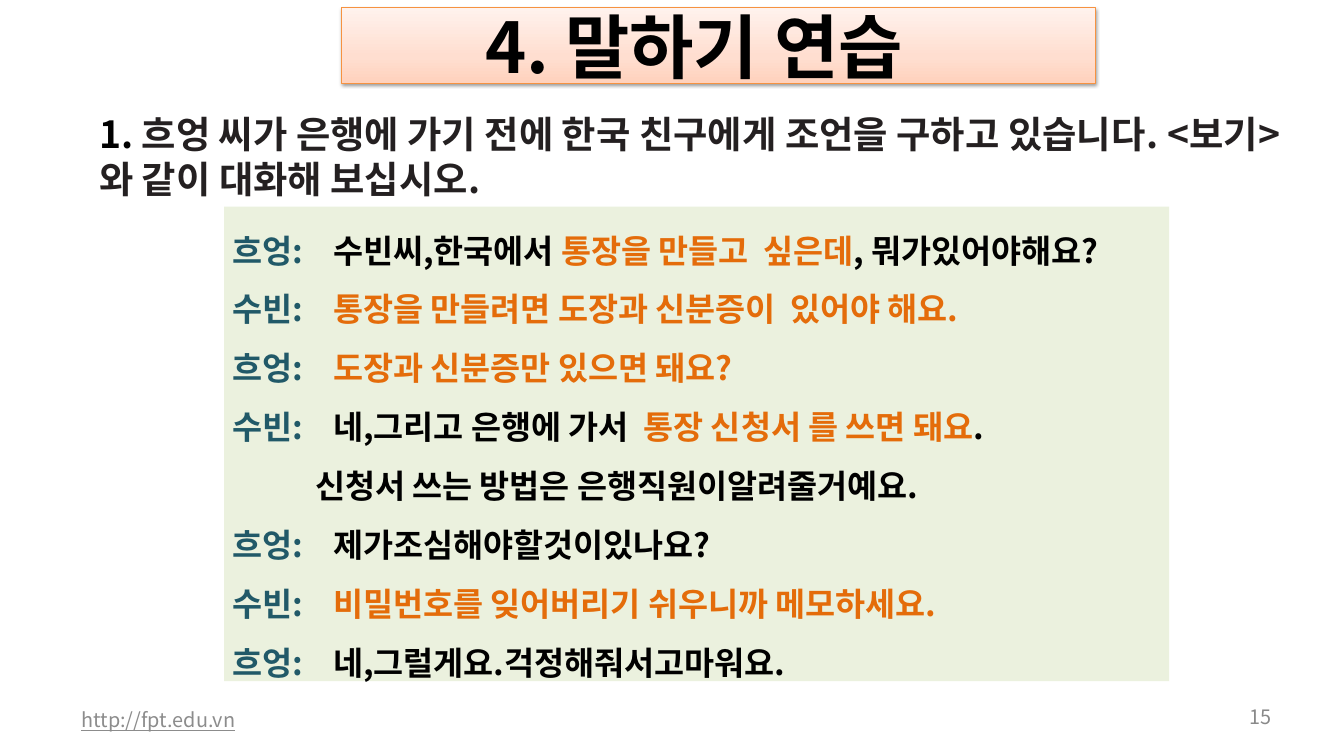
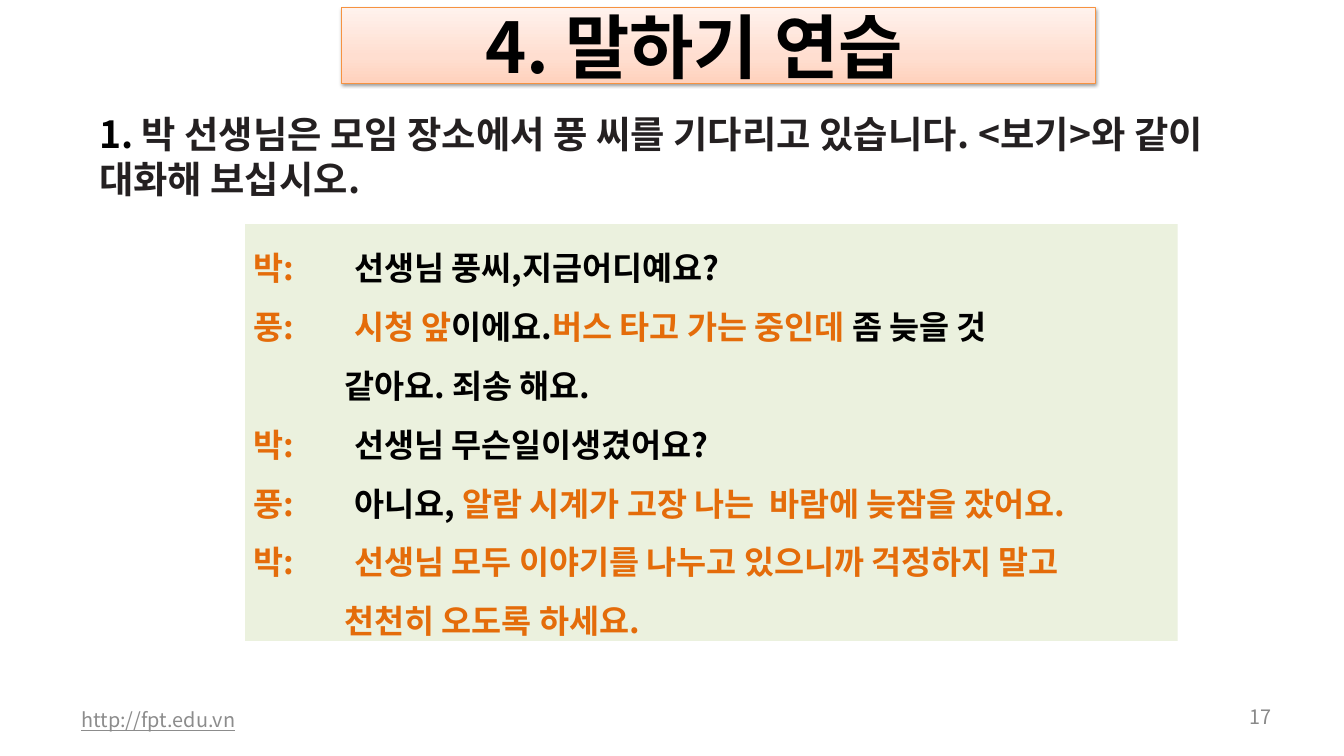
import pptx
import pptx.util
import pptx.dml.color
import pptx.enum.shapes
import pptx.enum.text
import pptx.oxml
import pptx.oxml.ns

Pt = pptx.util.Pt
Align = pptx.enum.text.PP_ALIGN
Anchor = pptx.enum.text.MSO_ANCHOR

COLOURS = {
    "ink": "000000", "question": "242021", "teal": "215968", "orange": "E46C0A",
    "panel": "EBF1DE", "border": "F69240", "link": "8C8C8C", "number": "898989",
}
TITLE_STOPS = [(0, "FFD2BD"), (35, "FFDED0"), (100, "FFF2ED")]
TITLE_SHADOW = (
    '<a:outerShdw %s blurRad="39370" dist="20320" dir="5400000" rotWithShape="0">'
    '<a:srgbClr val="000000"><a:alpha val="38000"/></a:srgbClr></a:outerShdw>'
)
TITLE = "4. 말하기 연습"
URL = "http://fpt.edu.vn"


def colour(name):
    return pptx.dml.color.RGBColor.from_string(COLOURS[name])


def apply(target, values):
    for name, value in values.items():
        setattr(target, name, value)


class Lesson:
    font = "Noto Sans CJK KR"

    def __init__(self):
        self.deck = pptx.Presentation()
        apply(self.deck, {"slide_width": Pt(1152), "slide_height": Pt(648)})
        self.page = None

    def add_page(self, number):
        self.page = self.deck.slides.add_slide(self.deck.slide_layouts[5])
        self.title()
        self.footer(URL, (59.8, 599.8, 365, 34.6), "link", Align.LEFT, underline=True)
        self.footer(number, (1044, 599.8, 56.2, 29.5), "number", Align.RIGHT)

    def frame(self, shape, insets=(7.2, 3.6, 7.2, 3.6), anchor=Anchor.TOP):
        frame = shape.text_frame
        left, top, right, bottom = insets
        apply(frame, {
            "word_wrap": True, "auto_size": pptx.enum.text.MSO_AUTO_SIZE.NONE,
            "vertical_anchor": anchor, "margin_left": Pt(left), "margin_top": Pt(top),
            "margin_right": Pt(right), "margin_bottom": Pt(bottom),
        })
        return frame

    def add_spans(self, para, spans, size, bold=True, underline=None):
        """Add one run for each (text, colour name) pair."""
        for text, name in spans:
            span = para.add_run()
            span.text = text
            apply(span.font, {"name": self.font, "size": Pt(size), "bold": bold,
                              "underline": underline})
            span.font.color.rgb = colour(name)
            east_asian = pptx.oxml.parse_xml(
                '<a:ea %s typeface="%s"/>' % (pptx.oxml.ns.nsdecls("a"), self.font))
            span.font._element.find(pptx.oxml.ns.qn("a:latin")).addnext(east_asian)

    def title(self):
        box = self.page.shapes.title
        apply(box, {"left": Pt(293), "top": Pt(6.5), "width": Pt(645.8), "height": Pt(64.8)})
        box.fill.gradient()
        box.fill.gradient_angle = 90
        stops = box._element.spPr.find(".//" + pptx.oxml.ns.qn("a:gsLst"))
        for stop in list(stops):
            stops.remove(stop)
        for position, value in TITLE_STOPS:
            stops.append(pptx.oxml.parse_xml(
                '<a:gs %s pos="%d"><a:srgbClr val="%s"/></a:gs>'
                % (pptx.oxml.ns.nsdecls("a"), position * 1000, value)))
        box.line.color.rgb = colour("border")
        box.line.width = Pt(0.75)
        effects = pptx.oxml.parse_xml(
            "<a:effectLst %s>%s</a:effectLst>"
            % (pptx.oxml.ns.nsdecls("a"), TITLE_SHADOW % pptx.oxml.ns.nsdecls("a")))
        box._element.spPr.append(effects)
        para = self.frame(box, (7.2, 3.6, 49, 3.6), Anchor.MIDDLE).paragraphs[0]
        apply(para, {"alignment": Align.CENTER, "line_spacing": Pt(72)})
        self.add_spans(para, [(TITLE, "ink")], 60)

    def footer(self, text, place, name, align, underline=None):
        box = self.page.shapes.add_textbox(*map(Pt, place))
        para = self.frame(box, (10, 5, 10, 5), Anchor.MIDDLE).paragraphs[0]
        para.alignment = align
        self.add_spans(para, [(text, name)], 17, False, underline)

    def question(self, text):
        box = self.page.shapes.add_textbox(Pt(77.8), Pt(91.8), Pt(1030.3), Pt(85))
        para = self.frame(box).paragraphs[0]
        para.line_spacing = Pt(38.5)
        self.add_spans(para, [("1. ", "ink"), (text, "question")], 32)

    def dialogue(self, place, lines, speaker_colour, hang, continued):
        """Hang each speech after its speaker; lines without a speaker continue it."""
        box = self.page.shapes.add_shape(
            pptx.enum.shapes.MSO_SHAPE.RECTANGLE, *map(Pt, place))
        box.shadow.inherit = False
        box.fill.solid()
        box.fill.fore_color.rgb = colour("panel")
        box.line.fill.background()
        frame = self.frame(box)
        for index, (speaker, *spans) in enumerate(lines):
            para = frame.add_paragraph() if index else frame.paragraphs[0]
            apply(para, {"alignment": Align.LEFT, "line_spacing": Pt(50.45)})
            margin = hang if speaker else continued
            properties = para._p.get_or_add_pPr()
            properties.set("marL", str(Pt(margin)))
            properties.set("indent", str(-Pt(margin) if speaker else 0))
            if speaker:
                spans = [(speaker + ":\t", speaker_colour), *spans]
            self.add_spans(para, spans, 28)


def main():
    lesson = Lesson()

    lesson.add_page("15")
    lesson.question("흐엉 씨가 은행에 가기 전에 한국 친구에게 조언을 구하고 있습니다. "
                    "<보기>와 같이 대화해 보십시오.")
    lesson.dialogue((192.2, 177.1, 810, 406.8), [
        ("흐엉", ("수빈씨,한국에서 ", "ink"), ("통장을 만들고  싶은데", "orange"),
         (", 뭐가있어야해요?", "ink")),
        ("수빈", ("통장을 만들려면 도장과 신분증이  있어야 해요.", "orange")),
        ("흐엉", ("도장과 신분증만 있으면 돼요?", "orange")),
        ("수빈", ("네,그리고 은행에 가서  ", "ink"),
         ("통장 신청서 를 쓰면 돼요", "orange"), (".", "ink")),
        (None, ("신청서 쓰는 방법은 은행직원이알려줄거예요.", "ink")),
        ("흐엉", ("제가조심해야할것이있나요?", "ink")),
        ("수빈", ("비밀번호를 잊어버리기 쉬우니까 메모하세요.", "orange")),
        ("흐엉", ("네,그럴게요.걱정해줘서고마워요.", "ink")),
    ], "teal", 86.4, 70.8)

    lesson.add_page("17")
    lesson.question("박 선생님은 모임 장소에서 풍 씨를 기다리고 있습니다. "
                    "<보기>와 같이 대화해 보십시오.")
    lesson.dialogue((210.2, 192.2, 799.2, 357.1), [
        ("박", ("선생님 풍씨,지금어디예요?", "ink")),
        ("풍", ("시청 앞", "orange"), ("이에요.", "ink"),
         ("버스 타고 가는 중인데 ", "orange"), ("좀 늦을 것", "ink")),
        (None, ("같아요. 죄송 해요.", "ink")),
        ("박", ("선생님 무슨일이생겼어요?", "ink")),
        ("풍", ("아니요, ", "ink"),
         ("알람 시계가 고장 나는  바람에 늦잠을 잤어요.", "orange")),
        ("박", ("선생님 모두 이야기를 나누고 있으니까 걱정하지 말고", "orange")),
        (None, ("천천히 오도록 하세요.", "orange")),
    ], "orange", 86.4, 78)

    lesson.deck.save("out.pptx")


if __name__ == "__main__":
    main()
